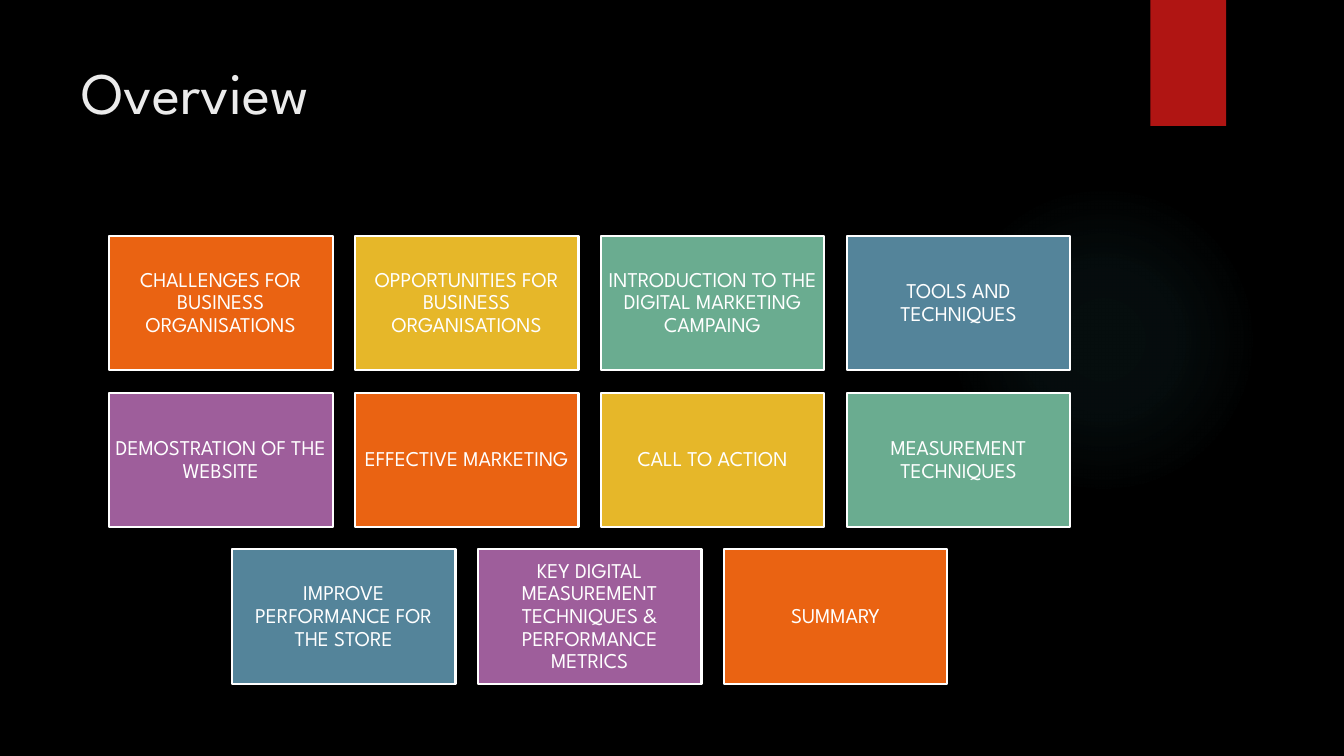
from lxml import etree
from pptx import Presentation
from pptx import util as u
from pptx.dml.color import RGBColor
from pptx.enum import shapes, text
from pptx.oxml import ns

PX = 4572  # EMU per px, 200 px to the inch
FONT = "League Spartan"

BLACK = RGBColor(0x00, 0x00, 0x00)
WHITE = RGBColor(0xFF, 0xFF, 0xFF)
TITLE_GREY = RGBColor(0xEB, 0xEB, 0xEB)
RED = RGBColor(0xB0, 0x15, 0x13)
GLOW_TEAL = RGBColor(0x50, 0xB9, 0xC1)
TILE_COLORS = [
    RGBColor(0xEA, 0x63, 0x12),
    RGBColor(0xE6, 0xB7, 0x29),
    RGBColor(0x6A, 0xAC, 0x90),
    RGBColor(0x54, 0x84, 0x9A),
    RGBColor(0x9E, 0x5E, 0x9B),
]

# Tile grid, in px
COLUMNS = 4
GRID_LEFT, GRID_TOP = 216, 468
TILE_WIDTH, TILE_HEIGHT, GAP = 444, 267, 44

TOPICS = [
    "CHALLENGES FOR BUSINESS ORGANISATIONS",
    "OPPORTUNITIES FOR BUSINESS ORGANISATIONS",
    "INTRODUCTION TO THE DIGITAL MARKETING CAMPAING",
    "TOOLS AND TECHNIQUES",
    "DEMOSTRATION OF THE WEBSITE",
    "EFFECTIVE MARKETING",
    "CALL TO ACTION",
    "MEASUREMENT TECHNIQUES",
    "IMPROVE PERFORMANCE FOR THE STORE",
    "KEY DIGITAL MEASUREMENT TECHNIQUES & PERFORMANCE METRICS",
    "SUMMARY",
]


def px(length):
    return u.Emu(length * PX)


def write_text(shape, words, size, color, align, anchor, inset_x, inset_y, spacing=1.0):
    frame = shape.text_frame
    frame.word_wrap = True
    frame.auto_size = text.MSO_AUTO_SIZE.NONE
    frame.vertical_anchor = anchor
    frame.margin_left = frame.margin_right = px(inset_x)
    frame.margin_top = frame.margin_bottom = px(inset_y)
    frame.text = words
    paragraph = frame.paragraphs[0]
    paragraph.alignment = align
    paragraph.line_spacing = spacing
    font = paragraph.runs[0].font
    font.name, font.size = FONT, u.Pt(size)
    font.color.rgb = color


def add_block(slide, kind, left, top, width, height, fill=None, line=None):
    shape = slide.shapes.add_shape(kind, px(left), px(top), px(width), px(height))
    shape.shadow.inherit = False
    if fill is not None:
        shape.fill.solid()
        shape.fill.fore_color.rgb = fill
    if line is None:
        shape.line.fill.background()
    else:
        shape.line.color.rgb = line
        shape.line.width = u.Pt(1.5)
    return shape


def set_radial_fill(shape, color, stops):
    """Fill from the centre outwards; stops are (position %, opacity %)."""
    shape.fill.background()
    gradient = etree.Element(ns.qn("a:gradFill"), rotWithShape="1")
    stop_list = etree.SubElement(gradient, ns.qn("a:gsLst"))
    for position, opacity in stops:
        stop = etree.SubElement(stop_list, ns.qn("a:gs"), pos=str(position * 1000))
        shade = etree.SubElement(stop, ns.qn("a:srgbClr"), val=str(color))
        etree.SubElement(shade, ns.qn("a:alpha"), val=str(opacity * 1000))
    circle = etree.SubElement(gradient, ns.qn("a:path"), path="circle")
    etree.SubElement(circle, ns.qn("a:fillToRect"), l="50000", t="50000", r="50000", b="50000")
    properties = shape.element.spPr
    properties.replace(properties.find(ns.qn("a:noFill")), gradient)


def add_title(slide, words):
    title = slide.shapes.title
    title.left, title.top, title.width, title.height = px(142), px(100), px(2058), px(306)
    write_text(title, words, 42, TITLE_GREY, text.PP_ALIGN.LEFT,
               text.MSO_ANCHOR.TOP, 20, 10)


def add_tiles(slide, topics):
    for index, topic in enumerate(topics):
        row, column = divmod(index, COLUMNS)
        # A short last row is centred under the full ones
        missing = max(0, (row + 1) * COLUMNS - len(topics))
        left = GRID_LEFT + (2 * column + missing) * (TILE_WIDTH + GAP) // 2
        top = GRID_TOP + row * (TILE_HEIGHT + GAP)
        tile = add_block(slide, shapes.MSO_SHAPE.RECTANGLE, left, top, TILE_WIDTH,
                         TILE_HEIGHT, TILE_COLORS[index % len(TILE_COLORS)], WHITE)
        write_text(tile, topic, 15, WHITE, text.PP_ALIGN.CENTER,
                   text.MSO_ANCHOR.MIDDLE, 12, 12, spacing=0.9)


def main():
    presentation = Presentation()
    presentation.slide_width, presentation.slide_height = px(2667), px(1500)
    slide = presentation.slides.add_slide(presentation.slide_layouts[5])
    slide.background.fill.solid()
    slide.background.fill.fore_color.rgb = BLACK

    # Backdrop: soft glow and red tab
    glow = add_block(slide, shapes.MSO_SHAPE.OVAL, 1882, 366, 616, 616)
    set_radial_fill(glow, GLOW_TEAL, [(0, 7), (36, 6), (69, 0)])
    add_block(slide, shapes.MSO_SHAPE.RECTANGLE, 2283, 0, 150, 250, RED)

    # Content
    add_title(slide, "Overview")
    add_tiles(slide, TOPICS)
    presentation.save("out.pptx")


if __name__ == "__main__":
    main()
